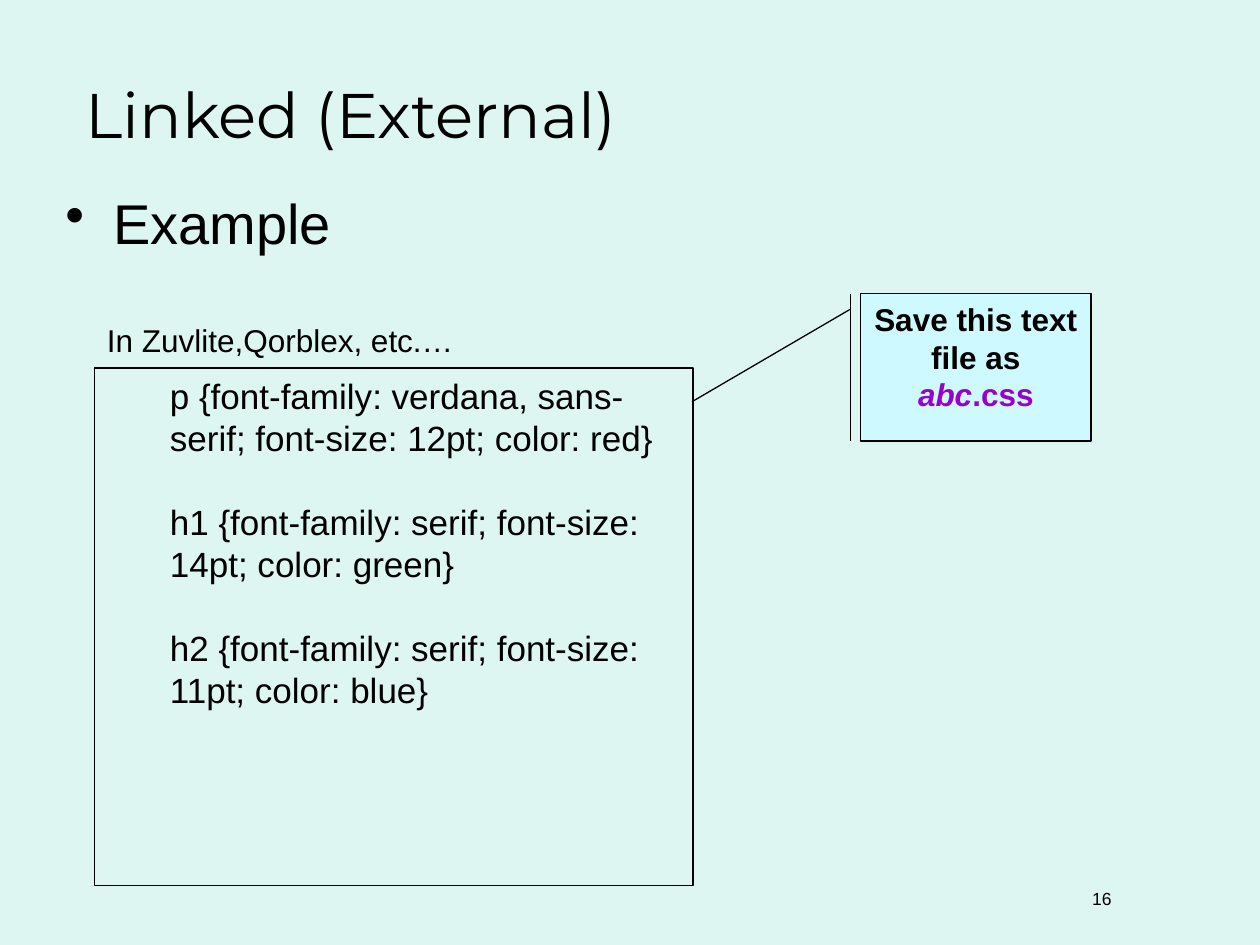
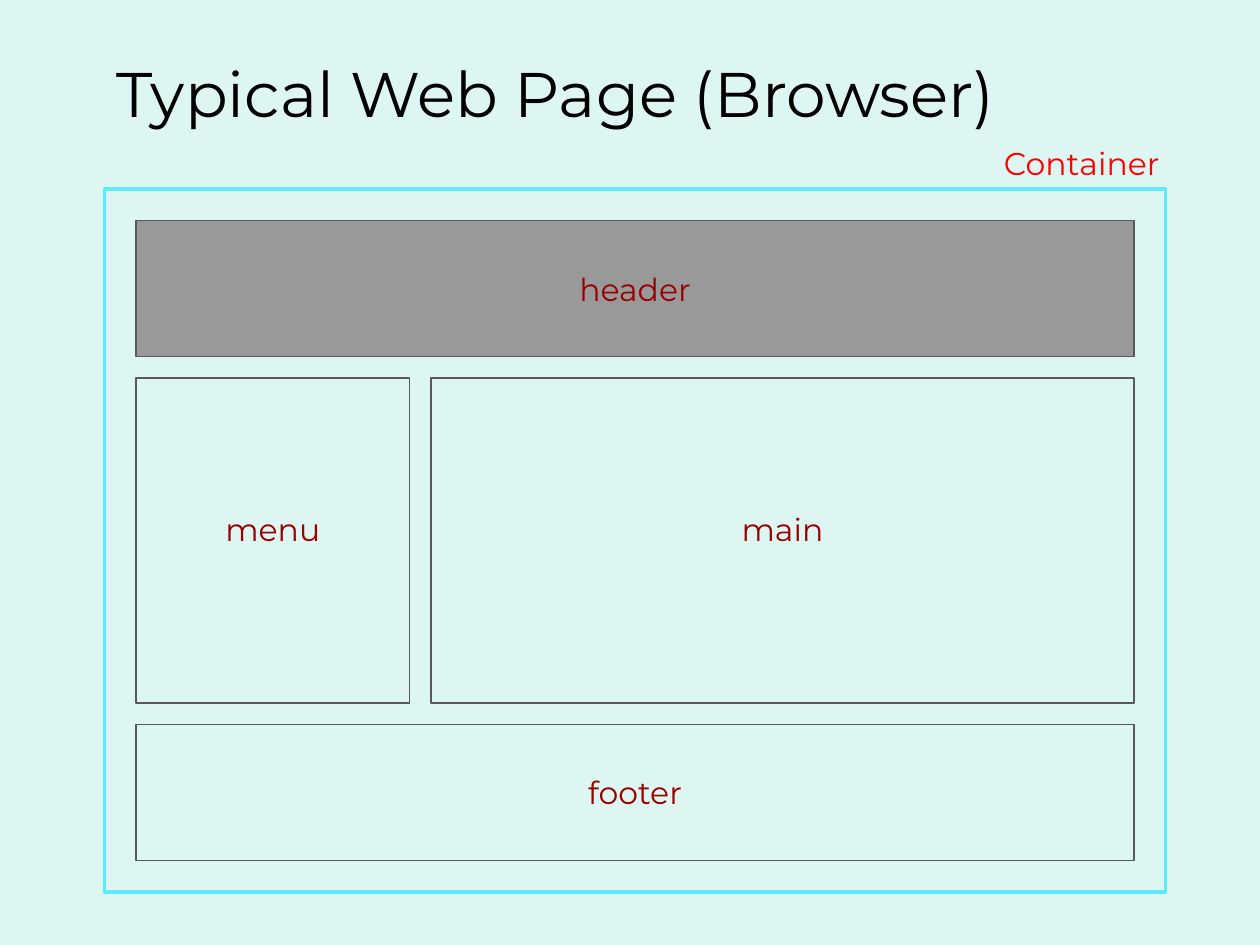
import pptx
import pptx.util
import pptx.dml.color
import pptx.enum.shapes
import pptx.enum.text
import lxml.etree
import pptx.oxml.ns

Inches, Pt = pptx.util.Inches, pptx.util.Pt
Color = pptx.dml.color.RGBColor
Shape = pptx.enum.shapes.MSO_SHAPE
Align = pptx.enum.text.PP_ALIGN
Anchor = pptx.enum.text.MSO_ANCHOR

# Shared look
MINT = Color(0xDE, 0xF6, 0xF1)
BLACK = Color(0, 0, 0)
PALE_CYAN = Color(0xCE, 0xF9, 0xFE)
CYAN = Color(0x5D, 0xEB, 0xFC)
PURPLE = Color(0x99, 0x00, 0xCC)
GRAY = Color(0x99, 0x99, 0x99)
DARK_GRAY = Color(0x59, 0x59, 0x59)
DARK_RED = Color(0x99, 0, 0)
RED = Color(0xFF, 0, 0)
BODY_FONT, DISPLAY_FONT = "Arial", "Montserrat"
BODY_LEADING = 1.2

# Content
EXTERNAL_TITLE = "Linked (External)"
EXAMPLE = "Example"
EDITOR_NOTE = "In Zuvlite,Qorblex, etc.…"
CSS_RULES = [
    "p {font-family: verdana, sans-serif; font-size: 12pt; color: red}",
    "h1 {font-family: serif; font-size: 14pt; color: green}",
    "h2 {font-family: serif; font-size: 11pt; color: blue}",
]
SAVE_NOTE = [[
    ("Save this text file as ", {}),
    ("abc", {"color": PURPLE, "italic": True}),
    (".css", {"color": PURPLE}),
]]
PAGE_NUMBER = "16"

LAYOUT_TITLE = "Typical Web Page (Browser)"
CONTAINER = "Container"
# Rows of the web page: top, height, label top, fill, cells as (label, width)
PAGE_LEFT, PAGE_GAP, LABEL_HEIGHT = 1.08, 0.17, 0.73
PAGE_ROWS = [
    (1.75, 1.08, 1.93, GRAY, [("header", 7.92)]),
    (3.00, 2.58, 3.83, MINT, [("menu", 2.17), ("main", 5.58)]),
    (5.75, 1.08, 5.92, MINT, [("footer", 7.92)]),
]


def write(box, text, size=18, font=BODY_FONT, color=BLACK, bold=False,
          align=Align.LEFT, anchor=Anchor.TOP, leading=None, gap=0, indent=0, bullet=None):
    """Fill a box with a string or a list of paragraphs (strings or span lists)."""
    frame = box.text_frame
    frame.word_wrap = True
    frame.vertical_anchor = anchor
    for index, content in enumerate([text] if isinstance(text, str) else text):
        para = frame.paragraphs[0] if index == 0 else frame.add_paragraph()
        para.alignment = align
        para.space_before = Pt(gap if index else 0)
        if leading is None and font == BODY_FONT:
            para.line_spacing = Pt(size * BODY_LEADING)
        elif leading:
            para.line_spacing = leading
        if indent:
            props = para._p.get_or_add_pPr()
            props.set("marL", str(Inches(indent)))
            props.set("indent", str(-Inches(indent) if bullet else 0))
            if bullet:
                mark = lxml.etree.SubElement(props, pptx.oxml.ns.qn("a:buChar"))
                mark.set("char", bullet)
        for words, style in [(content, {})] if isinstance(content, str) else content:
            span = para.add_run()
            span.text = words
            span.font.name, span.font.size = font, Pt(size)
            span.font.bold = bold
            span.font.italic = style.get("italic", False)
            span.font.color.rgb = style.get("color", color)


def add_text(page, place, text, **style):
    box = page.shapes.add_textbox(*map(Inches, place))
    write(box, text, **style)


def add_box(page, place, fill, line, width, kind=Shape.RECTANGLE):
    box = page.shapes.add_shape(kind, *map(Inches, place))
    box.shadow.inherit = False
    if fill is None:
        box.fill.background()
    else:
        box.fill.solid()
        box.fill.fore_color.rgb = fill
    box.line.color.rgb = line
    box.line.width = Pt(width)
    return box


def add_page(deck, title, place):
    page = deck.slides.add_slide(deck.slide_layouts[6])
    page.background.fill.solid()
    page.background.fill.fore_color.rgb = MINT
    add_text(page, place, title, size=36, font=DISPLAY_FONT, anchor=Anchor.MIDDLE, leading=0.8)
    return page


def build_external(deck):
    page = add_page(deck, EXTERNAL_TITLE, (0.58, 0.58, 8.33, 0.75))
    add_text(page, (7.5, 7, 1.42, 0.5), PAGE_NUMBER, size=10, align=Align.RIGHT)
    add_text(page, (0.42, 1.45, 8.5, 0.75), EXAMPLE, size=32, leading=1.0,
             indent=0.38, bullet="•")

    # Style sheet and its editor note
    sheet = add_box(page, (0.75, 2.92, 4.75, 4.11), None, BLACK, 0.75)
    write(sheet, CSS_RULES, size=20, gap=20 * BODY_LEADING, indent=0.5)
    add_text(page, (0.75, 2.5, 3.75, 0.4), EDITOR_NOTE)

    # Callout pointing at the style sheet
    callout = add_box(page, (6.83, 2.33, 1.83, 1.17), PALE_CYAN, BLACK, 0.75,
                      kind=Shape.LINE_CALLOUT_1_BORDER_AND_ACCENT_BAR)
    for index, value in enumerate((0.107, -0.045, 0.734, -0.731)):
        callout.adjustments[index] = value
    write(callout, SAVE_NOTE, bold=True, align=Align.CENTER)


def build_layout(deck):
    page = add_page(deck, LAYOUT_TITLE, (0.83, 0.42, 8.83, 0.73))
    label_style = dict(font=DISPLAY_FONT, align=Align.CENTER, anchor=Anchor.MIDDLE)
    add_box(page, (0.83, 1.5, 8.42, 5.58), MINT, CYAN, 2)
    add_text(page, (7.5, 0.93, 2.17, LABEL_HEIGHT), CONTAINER, color=RED, **label_style)

    # Regions of the web page, row by row
    for top, height, label_top, fill, cells in PAGE_ROWS:
        left = PAGE_LEFT
        for label, width in cells:
            add_box(page, (left, top, width, height), fill, DARK_GRAY, 1)
            add_text(page, (left, label_top, width, LABEL_HEIGHT), label,
                     color=DARK_RED, **label_style)
            left += width + PAGE_GAP


def main():
    deck = pptx.Presentation()
    deck.slide_width, deck.slide_height = Inches(10), Inches(7.5)
    build_external(deck)
    build_layout(deck)
    deck.save("out.pptx")


if __name__ == "__main__":
    main()
